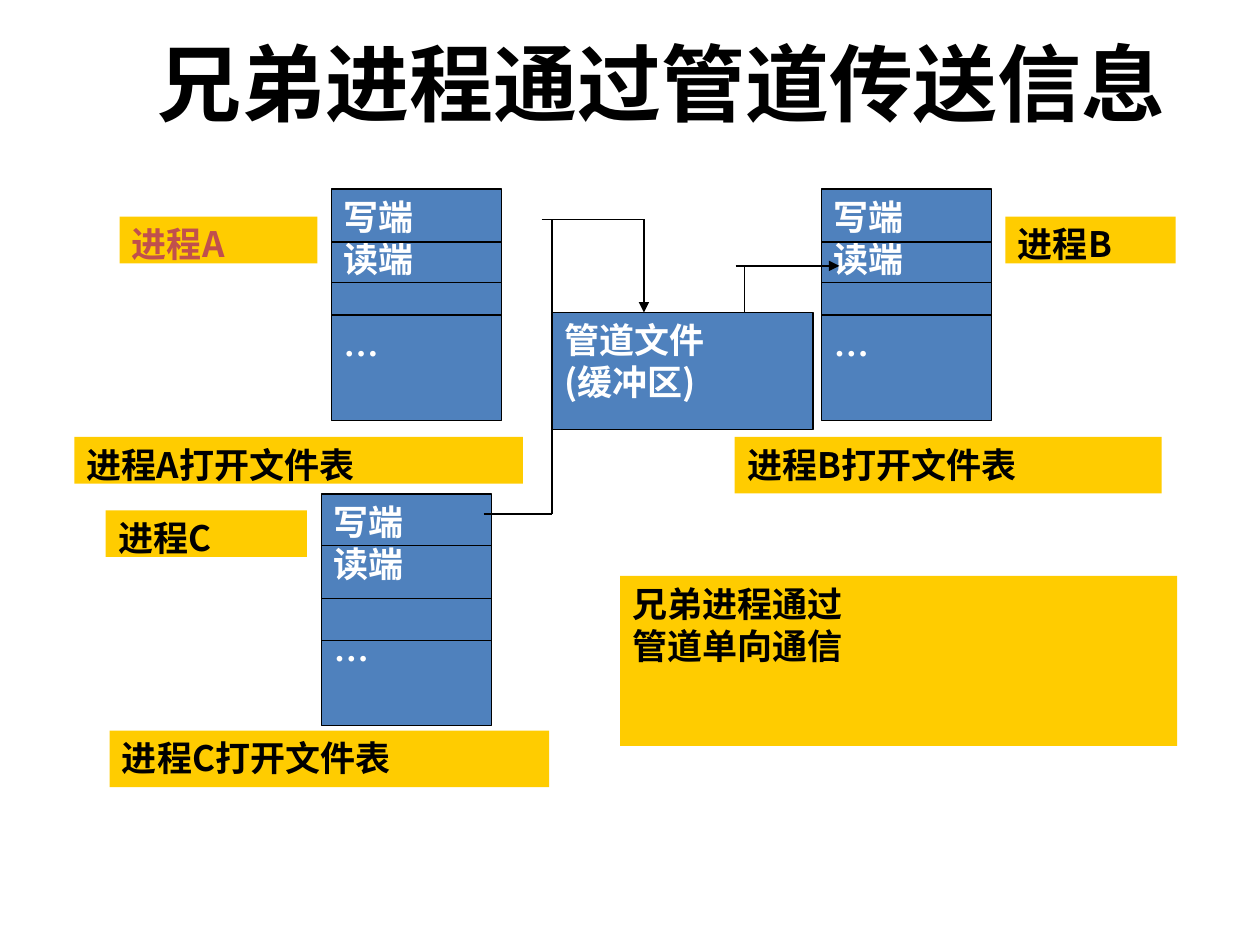
"""Build a slide on sibling processes passing data through a pipe."""
from lxml import etree
from pptx import Presentation
from pptx import util as u
from pptx.dml.color import RGBColor
from pptx.enum import shapes, text
from pptx.oxml import ns

BLACK = RGBColor(0x00, 0x00, 0x00)
WHITE = RGBColor(0xFF, 0xFF, 0xFF)
BLUE = RGBColor(0x4F, 0x81, 0xBD)
GOLD = RGBColor(0xFF, 0xCC, 0x00)
RED = RGBColor(0xC0, 0x50, 0x4D)
SANS = "Noto Sans CJK JP"
SERIF = "Times New Roman"
LEFT = text.PP_ALIGN.LEFT
FULL = text.PP_ALIGN.JUSTIFY
MID = text.PP_ALIGN.CENTER


def write(par, words, face=SANS, size=20, color=BLACK, align=FULL, pitch=None, gap=0):
    par.alignment = align
    par.space_before = u.Pt(gap)
    if pitch:
        par.line_spacing = u.Pt(pitch)
    run = par.add_run()
    run.text = words
    font = run.font
    font.name, font.size, font.bold = face, u.Pt(size), True
    font.color.rgb = color
    east = etree.SubElement(run._r.get_or_add_rPr(), ns.qn("a:ea"))
    east.set("typeface", face)


class Board:
    """Hold the slide and the shared style."""

    def __init__(self, slide, width=0.75, pitch=24):
        self.slide, self.width, self.pitch = slide, u.Pt(width), pitch

    def title(self, words, area):
        box = self.slide.shapes.add_textbox(*map(u.Cm, area))
        frame = box.text_frame
        frame.word_wrap = True
        frame.vertical_anchor = text.MSO_ANCHOR.MIDDLE
        write(frame.paragraphs[0], words, size=48, align=MID)

    def block(self, area, fill, edge=None):
        box = self.slide.shapes.add_shape(shapes.MSO_SHAPE.RECTANGLE, *map(u.Cm, area))
        box.shadow.inherit = False
        box.fill.solid()
        box.fill.fore_color.rgb = fill
        if edge is None:
            box.line.fill.background()
        else:
            box.line.color.rgb = edge
            box.line.width = self.width
        frame = box.text_frame
        frame.word_wrap = True
        frame.vertical_anchor = text.MSO_ANCHOR.TOP
        return frame

    def label(self, rows, area, fill=GOLD, edge=None, **style):
        frame = self.block(area, fill, edge)
        for i, row in enumerate(rows):
            par = frame.add_paragraph() if i else frame.paragraphs[0]
            write(par, row, pitch=self.pitch, **style)
        return frame

    def line(self, x1, y1, x2, y2, arrow=False):
        link = self.slide.shapes.add_connector(
            shapes.MSO_CONNECTOR.STRAIGHT, *map(u.Cm, (x1, y1, x2, y2)))
        link.line.color.rgb = BLACK
        link.line.width = self.width
        if arrow:
            tail = etree.SubElement(link.line._get_or_add_ln(), ns.qn("a:tailEnd"))
            tail.set("type", "triangle")
        etree.SubElement(link._element.spPr, ns.qn("a:effectLst"))

    def table(self, left, top, cuts, width=3.43, height=4.67):
        frame = self.label(["写端", "读端"], (left, top, width, height),
                           fill=BLUE, edge=BLACK, color=WHITE)
        write(frame.add_paragraph(), "…", face=SERIF, color=WHITE,
              pitch=self.pitch, gap=self.pitch)
        for cut in cuts:
            self.line(left, top + cut, left + width, top + cut)


def main():
    deck = Presentation()
    deck.slide_width, deck.slide_height = u.Cm(25.4), u.Cm(19.05)
    board = Board(deck.slides.add_slide(deck.slide_layouts[6]))
    board.title("兄弟进程通过管道传送信息", (2.54, 0.25, 21.59, 2.8))

    upper, lower = (1.07, 1.88, 2.54), (1.04, 2.11, 2.95)
    for left, top, cuts in ((16.56, 3.81, upper), (6.68, 3.81, upper), (6.48, 9.96, lower)):
        board.table(left, top, cuts)

    board.label(["管道文件", "(缓冲区)"], (11.13, 6.3, 5.26, 2.36),
                fill=BLUE, edge=BLACK, color=WHITE, align=LEFT)

    board.label(["进程A"], (2.41, 4.37, 3.99, 0.94), color=RED)
    for rows, area in (
        (["进程B"], (20.27, 4.37, 3.43, 0.94)),
        (["进程C"], (2.13, 10.29, 4.06, 0.94)),
        (["进程A打开文件表"], (1.5, 8.81, 9.04, 0.94)),
        (["进程B打开文件表"], (14.81, 8.81, 8.61, 1.14)),
        (["进程C打开文件表"], (2.21, 14.73, 8.86, 1.14)),
        (["兄弟进程通过", "管道单向通信"], (12.5, 11.61, 11.23, 3.43)),
    ):
        board.label(rows, area)

    for ends in (
        (9.75, 10.36, 11.13, 10.36),
        (11.13, 10.36, 11.13, 4.42),
        (10.92, 4.42, 12.98, 4.42),
        (15.01, 6.3, 15.01, 5.36),
    ):
        board.line(*ends)
    board.line(12.98, 4.42, 12.98, 6.3, arrow=True)
    board.line(14.83, 5.36, 16.92, 5.36, arrow=True)
    deck.save("out.pptx")


if __name__ == "__main__":
    main()
